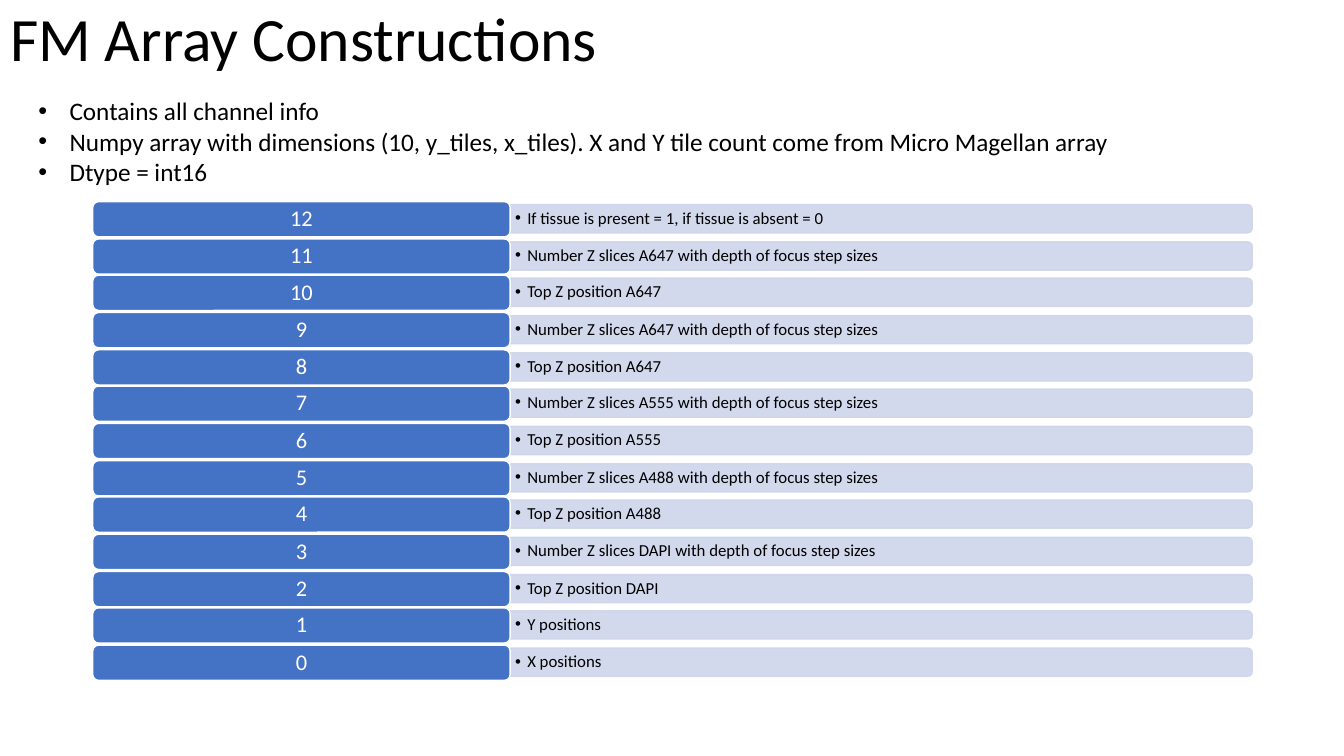
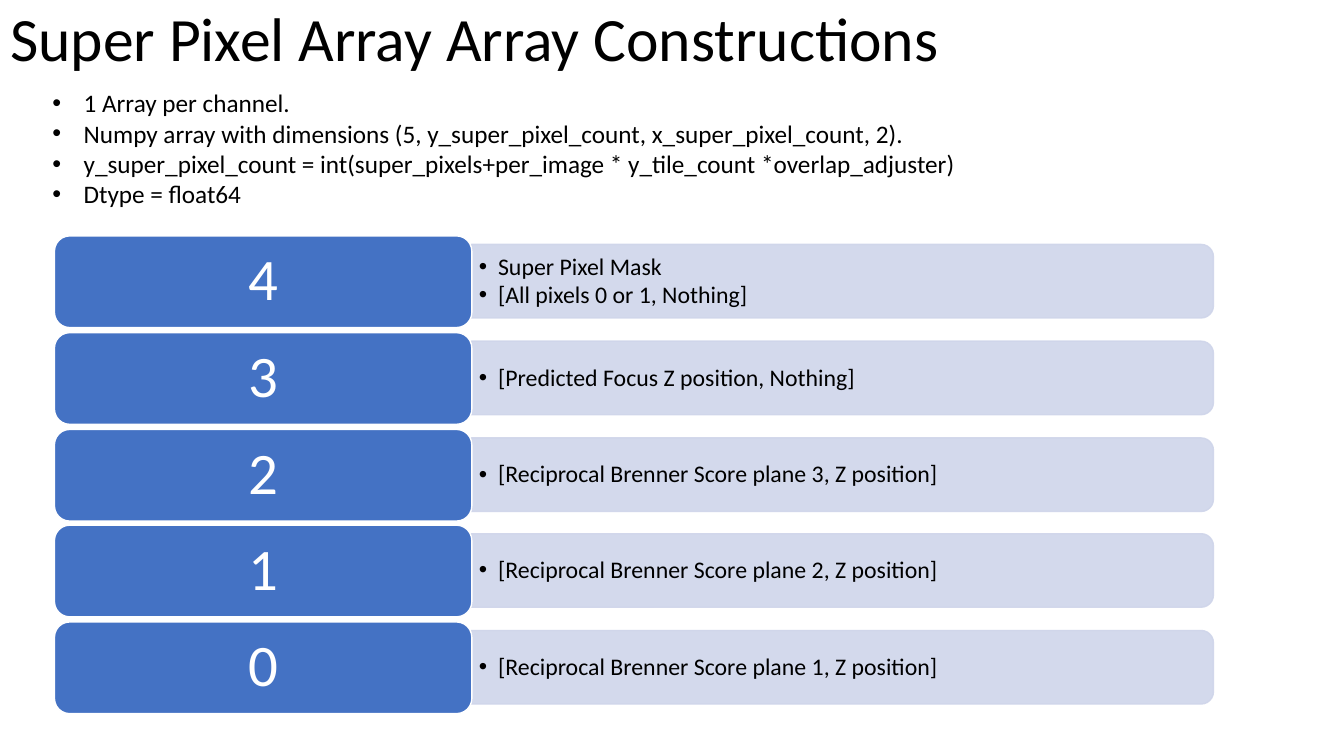
import dataclasses
import typing

import pptx
import pptx.dml.color
import pptx.enum.shapes
import pptx.enum.text
import pptx.oxml
import pptx.oxml.ns
import pptx.util

PX = 9144
FONT = "Calibri"
COLORS = {"text": "000000", "label": "4472C4", "band": "CFD5EA", "white": "FFFFFF"}
BAND_ALPHA = 90000
LABEL_WIDTH = 414
BAND_WIDTH = 736

ALIGN = pptx.enum.text.PP_ALIGN
SHAPE = pptx.enum.shapes.MSO_SHAPE


@dataclasses.dataclass(frozen=True)
class Box:
    left: int
    top: int
    width: int
    height: int

    def emu(self) -> dict[str, int]:
        return {side: px(value) for side, value in dataclasses.asdict(self).items()}


@dataclasses.dataclass(frozen=True)
class TextStyle:
    size: int
    color: str = "text"
    align: typing.Any = ALIGN.LEFT
    line_spacing: float = 0.9
    space_after: int = 0
    bullet_indent: int = 0


@dataclasses.dataclass(frozen=True)
class Row:
    label: str
    details: tuple[str, ...]


@dataclasses.dataclass(frozen=True)
class Stack:
    left: int
    first_top: int
    last_top: int
    label_height: int
    band_height: int
    label_size: int
    detail_size: int
    detail_indent: int
    detail_inset: int
    rows: tuple[Row, ...]


@dataclasses.dataclass(frozen=True)
class ArraySlide:
    title: str
    facts: tuple[str, ...]
    facts_box: Box
    stack: Stack


TITLE_BOX = Box(0, 0, 1150, 82)
TITLE_STYLE = TextStyle(44)
FACTS_STYLE = TextStyle(18, line_spacing=1.0, bullet_indent=31)


def px(value: int) -> int:
    return pptx.util.Emu(value * PX)


def rgb(name: str) -> pptx.dml.color.RGBColor:
    return pptx.dml.color.RGBColor.from_string(COLORS[name])


def apply(target: typing.Any, values: dict[str, typing.Any]) -> None:
    for name, value in values.items():
        setattr(target, name, value)


def add_bullet(paragraph: typing.Any, indent: int) -> None:
    properties = paragraph._p.get_or_add_pPr()
    properties.set("marL", str(px(indent)))
    properties.set("indent", str(-px(indent)))
    for tag, attribute, value in (("a:buFont", "typeface", "Arial"), ("a:buChar", "char", "•")):
        pptx.oxml.ns.qn(tag)
        element = properties.makeelement(pptx.oxml.ns.qn(tag), {attribute: value})
        properties.append(element)


def write(frame: typing.Any, lines: typing.Iterable[str], style: TextStyle,
          anchor: typing.Any, inset_x: int = 10, inset_y: int = 5) -> None:
    apply(frame, {
        "word_wrap": True,
        "auto_size": pptx.enum.text.MSO_AUTO_SIZE.NONE,
        "vertical_anchor": anchor,
        "margin_left": px(inset_x),
        "margin_right": px(inset_x),
        "margin_top": px(inset_y),
        "margin_bottom": px(inset_y),
    })
    for index, line in enumerate(lines):
        paragraph = frame.add_paragraph() if index else frame.paragraphs[0]
        apply(paragraph, {
            "alignment": style.align,
            "line_spacing": style.line_spacing,
            "space_before": pptx.util.Pt(0),
            "space_after": pptx.util.Pt(style.space_after),
        })
        if style.bullet_indent:
            add_bullet(paragraph, style.bullet_indent)
        run = paragraph.add_run()
        apply(run, {"text": line})
        apply(run.font, {"name": FONT, "size": pptx.util.Pt(style.size)})
        run.font.color.rgb = rgb(style.color)


def add_block(slide: typing.Any, kind: typing.Any, box: Box, fill: str, line: str) -> typing.Any:
    block = slide.shapes.add_shape(kind, **box.emu())
    block.shadow.inherit = False
    block.fill.solid()
    block.fill.fore_color.rgb = rgb(fill)
    block.line.color.rgb = rgb(line)
    block.line.width = pptx.util.Pt(1)
    return block


def add_band(slide: typing.Any, box: Box) -> None:
    upright = Box(box.left + (box.width - box.height) // 2,
                  box.top + (box.height - box.width) // 2, box.height, box.width)
    band = add_block(slide, SHAPE.ROUND_2_SAME_RECTANGLE, upright, "band", "band")
    band.rotation = 90
    for color in band.element.spPr.iter(pptx.oxml.ns.qn("a:srgbClr")):
        alpha = color.makeelement(pptx.oxml.ns.qn("a:alpha"), {"val": str(BAND_ALPHA)})
        color.append(alpha)


def add_stack(slide: typing.Any, stack: Stack) -> None:
    middle = pptx.enum.text.MSO_ANCHOR.MIDDLE
    label_style = TextStyle(stack.label_size, "white", ALIGN.CENTER)
    detail_style = TextStyle(stack.detail_size, space_after=2, bullet_indent=stack.detail_indent)
    pitch = (stack.last_top - stack.first_top) / (len(stack.rows) - 1)
    for index, row in enumerate(stack.rows):
        top = round(stack.first_top + index * pitch)
        band_top = top + (stack.label_height - stack.band_height) // 2
        band_box = Box(stack.left + LABEL_WIDTH, band_top, BAND_WIDTH, stack.band_height)
        add_band(slide, band_box)
        details = slide.shapes.add_textbox(**band_box.emu())
        write(details.text_frame, row.details, detail_style, middle, stack.detail_inset, 3)
        label_box = Box(stack.left, top, LABEL_WIDTH, stack.label_height)
        label = add_block(slide, SHAPE.ROUNDED_RECTANGLE, label_box, "label", "white")
        write(label.text_frame, [row.label], label_style, middle, inset_y=3)


def add_array_slide(deck: typing.Any, content: ArraySlide) -> None:
    slide = deck.slides.add_slide(deck.slide_layouts[1])
    title, facts = slide.shapes.title, slide.placeholders[1]
    apply(title, TITLE_BOX.emu())
    write(title.text_frame, [content.title], TITLE_STYLE, pptx.enum.text.MSO_ANCHOR.MIDDLE)
    apply(facts, content.facts_box.emu())
    write(facts.text_frame, content.facts, FACTS_STYLE, pptx.enum.text.MSO_ANCHOR.TOP)
    add_stack(slide, content.stack)


def numbered(*details: tuple[str, ...]) -> tuple[Row, ...]:
    last = len(details) - 1
    return tuple(Row(str(last - index), lines) for index, lines in enumerate(details))


def channel_rows(channel: str) -> tuple[tuple[str, ...], ...]:
    return ((f"Number Z slices {channel} with depth of focus step sizes",),
            (f"Top Z position {channel}",))


CHANNELS = ("A647", "A647", "A555", "A488", "DAPI")

SLIDES = (
    ArraySlide(
        "FM Array Constructions",
        (
            "Contains all channel info",
            "Numpy array with dimensions (10, y_tiles, x_tiles). "
            "X and Y tile count come from Micro Magellan array",
            "Dtype = int16",
        ),
        Box(28, 90, 1194, 101),
        Stack(92, 200, 640, 35, 28, 16, 12, 12, 5, numbered(
            ("If tissue is present = 1, if tissue is absent = 0",),
            *(row for channel in CHANNELS for row in channel_rows(channel)),
            ("Y positions",),
            ("X positions",),
        )),
    ),
    ArraySlide(
        "Super Pixel Array Array Constructions",
        (
            "1 Array per channel.",
            "Numpy array with dimensions (5, y_super_pixel_count, x_super_pixel_count, 2).",
            "y_super_pixel_count = int(super_pixels+per_image * y_tile_count *overlap_adjuster)",
            "Dtype = float64",
        ),
        Box(42, 82, 1291, 131),
        Stack(54, 234, 617, 91, 73, 42, 17, 19, 7, numbered(
            ("Super Pixel Mask", "[All pixels 0 or 1, Nothing]"),
            ("[Predicted Focus Z position, Nothing]",),
            *((f"[Reciprocal Brenner Score plane {plane}, Z position]",) for plane in (3, 2, 1)),
        )),
    ),
)


def main() -> None:
    deck = pptx.Presentation()
    apply(deck, {"slide_width": px(1333), "slide_height": px(750)})
    for content in SLIDES:
        add_array_slide(deck, content)
    deck.save("out.pptx")


if __name__ == "__main__":
    main()
